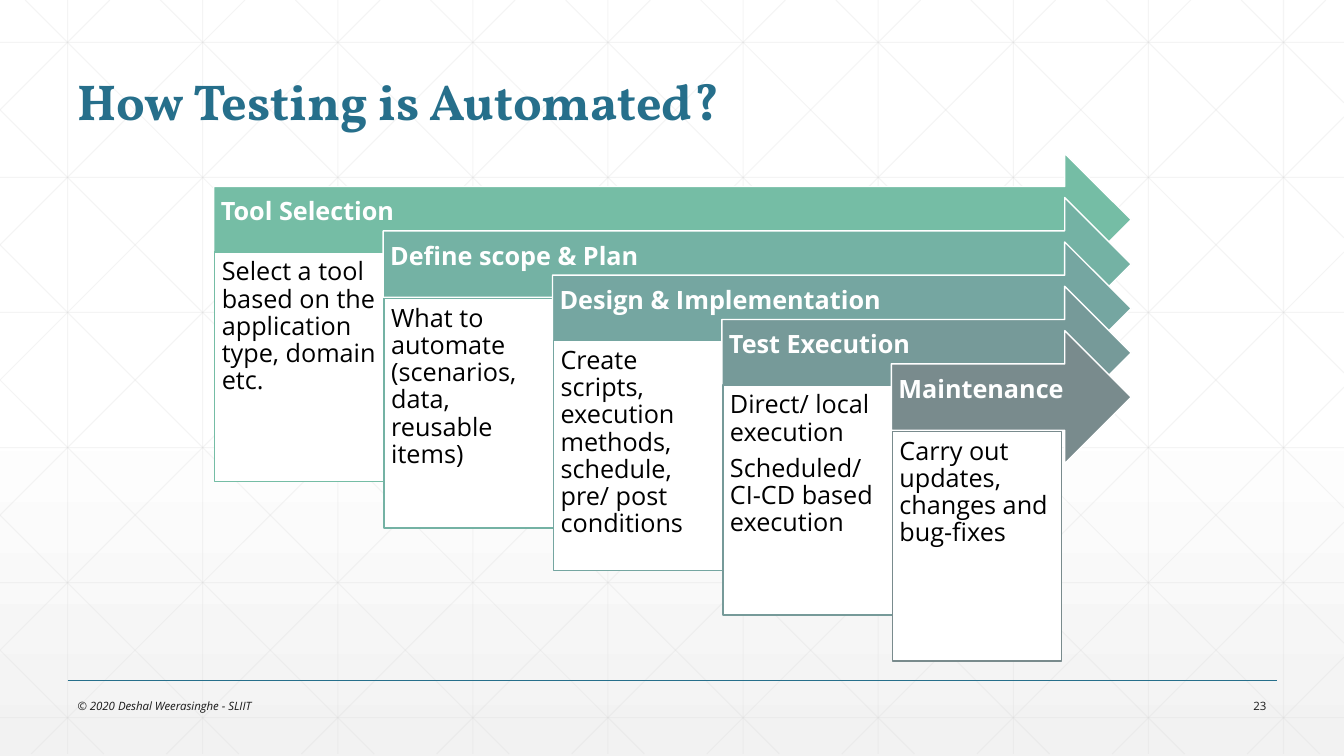
from lxml import etree
from pptx import Presentation
from pptx.dml.color import RGBColor
from pptx.enum import shapes, text
from pptx.oxml import ns
from pptx.util import Inches, Pt

HEADING = "How Testing is Automated?"
COPYRIGHT = "© 2020 Deshal Weerasinghe - SLIIT"
PAGE = "23"
# stage, details, card top in inches, colour
STAGES = [
    ("Tool Selection",
     ["Select a tool based on the application type, domain etc."],
     2.5, RGBColor(0x75, 0xBD, 0xA5)),
    ("Define scope & Plan",
     ["What to automate (scenarios, data, reusable items)"],
     2.96, RGBColor(0x74, 0xB2, 0xA4)),
    ("Design & Implementation",
     ["Create scripts, execution methods, schedule, pre/ post conditions"],
     3.38, RGBColor(0x75, 0xA6, 0xA1)),
    ("Test Execution",
     ["Direct/ local execution", "Scheduled/ CI-CD based execution"],
     3.82, RGBColor(0x76, 0x9A, 0x99)),
    ("Maintenance",
     ["Carry out updates, changes and bug-fixes"],
     4.28, RGBColor(0x79, 0x8B, 0x8D)),
]

WHITE = RGBColor(0xFF, 0xFF, 0xFF)
BLACK = RGBColor(0, 0, 0)
INK = RGBColor(0x19, 0x19, 0x19)
TEAL = RGBColor(0x26, 0x6F, 0x8B)
PALE = RGBColor(0xF2, 0xF2, 0xF2)
GRID = RGBColor(0xD8, 0xD8, 0xD8)

WIDTH, HEIGHT = 13.33, 7.5
GRID_BOTTOM, PITCH = 7.48, 1.34
FIRST_LEFT, FIRST_TOP = 2.12, 1.52
STEP_X, STEP_Y = 1.68, 0.44
ARROW_TIP, ARROW_HEIGHT = 11.22, 1.32
CARD_HEIGHT = 2.28

prs = Presentation()
prs.slide_width, prs.slide_height = Inches(WIDTH), Inches(HEIGHT)
slide = prs.slides.add_slide(prs.slide_layouts[5])


def add_line(x1, y1, x2, y2, color, width, opacity=None):
    line = slide.shapes.add_connector(
        shapes.MSO_CONNECTOR.STRAIGHT, *map(Inches, (x1, y1, x2, y2)))
    line.line.color.rgb = color
    line.line.width = Pt(width)
    properties = line._element.spPr
    if opacity:
        srgb = properties.find(".//" + ns.qn("a:srgbClr"))
        etree.SubElement(srgb, ns.qn("a:alpha"), val=str(opacity * 1000))
    etree.SubElement(properties, ns.qn("a:effectLst"))


def write(shape, paragraphs, size, color, font="Open Sans", bold=False,
          italic=False, anchor=text.MSO_ANCHOR.MIDDLE,
          align=text.PP_ALIGN.LEFT, spacing=0.9, insets=(0.1, 0.05, 0.1, 0.05)):
    frame = shape.text_frame
    frame.text = "\n".join(paragraphs)
    frame.word_wrap = True
    frame.auto_size = text.MSO_AUTO_SIZE.NONE
    frame.vertical_anchor = anchor
    (frame.margin_left, frame.margin_top,
     frame.margin_right, frame.margin_bottom) = map(Inches, insets)
    for index, paragraph in enumerate(frame.paragraphs):
        paragraph.alignment = align
        paragraph.line_spacing = spacing
        if index:
            paragraph.space_before = Pt(6.3)
        paragraph.font.name, paragraph.font.size = font, Pt(size)
        paragraph.font.bold, paragraph.font.italic = bold, italic
        paragraph.font.color.rgb = color


def add_block(preset, left, top, width, height, fill, outline):
    block = slide.shapes.add_shape(
        preset, *map(Inches, (left, top, width, height)))
    block.shadow.inherit = False
    block.fill.solid()
    block.fill.fore_color.rgb = fill
    block.line.color.rgb = outline
    block.line.width = Pt(1)
    return block


def draw_background():
    fill = slide.background.fill
    fill.gradient()
    fill.gradient_angle = 270
    for stop, position, color in zip(fill.gradient_stops, (0.53, 1), (WHITE, PALE)):
        stop.position = position
        stop.color.rgb = color

    lines = []
    for i in range(10):
        x = 0.67 + i * PITCH
        lines.append((x, 0, x, GRID_BOTTOM))
    for i in range(6):
        y = 0.42 + i * PITCH
        lines.append((0, y, WIDTH, y))
    for i in range(-5, 10):  # falling diagonals, x - y constant
        offset = 0.25 + i * PITCH
        x1, x2 = max(0, offset), min(WIDTH, offset + GRID_BOTTOM)
        lines.append((x1, x1 - offset, x2, x2 - offset))
    for i in range(15):  # rising diagonals, x + y constant
        total = 1.09 + i * PITCH
        x1, x2 = min(WIDTH, total), max(0, total - GRID_BOTTOM)
        lines.append((x1, total - x1, x2, total - x2))
    for ends in lines:
        add_line(*ends, GRID, 0.75, opacity=25)
    add_line(0.67, 6.75, 12.67, 6.75, TEAL, 1)


def draw_title_and_footer():
    title = slide.shapes.title
    title.left, title.top, title.width, title.height = map(
        Inches, (0.67, 0.55, 12.05, 0.97))
    write(title, [HEADING], 36, TEAL, font="Vollkorn", bold=True)
    title._element.getparent().append(title._element)  # in front of the grid

    credit = slide.shapes.add_textbox(*map(Inches, (0.67, 6.88, 6.7, 0.24)))
    write(credit, [COPYRIGHT], 8.2, INK, italic=True, spacing=1)
    number = slide.shapes.add_textbox(*map(Inches, (11.66, 6.88, 1, 0.24)))
    write(number, [PAGE], 8.2, INK, align=text.PP_ALIGN.RIGHT, spacing=1)


def draw_stages():
    for i, (stage, details, card_top, color) in enumerate(STAGES):
        left = FIRST_LEFT + i * STEP_X
        arrow = add_block(
            shapes.MSO_SHAPE.RIGHT_ARROW, left, FIRST_TOP + i * STEP_Y,
            ARROW_TIP - left, ARROW_HEIGHT, color, WHITE)
        write(arrow, [stage], 18, WHITE, bold=True,
              insets=(0.07, 0.07, 0.28, 0.21))
        card = add_block(
            shapes.MSO_SHAPE.RECTANGLE, left + 0.01, card_top,
            STEP_X, CARD_HEIGHT, WHITE, color)
        write(card, details, 18, BLACK, anchor=text.MSO_ANCHOR.TOP,
              insets=(0.07, 0.07, 0.07, 0.07))


draw_background()
draw_title_and_footer()
draw_stages()
prs.save("out.pptx")
